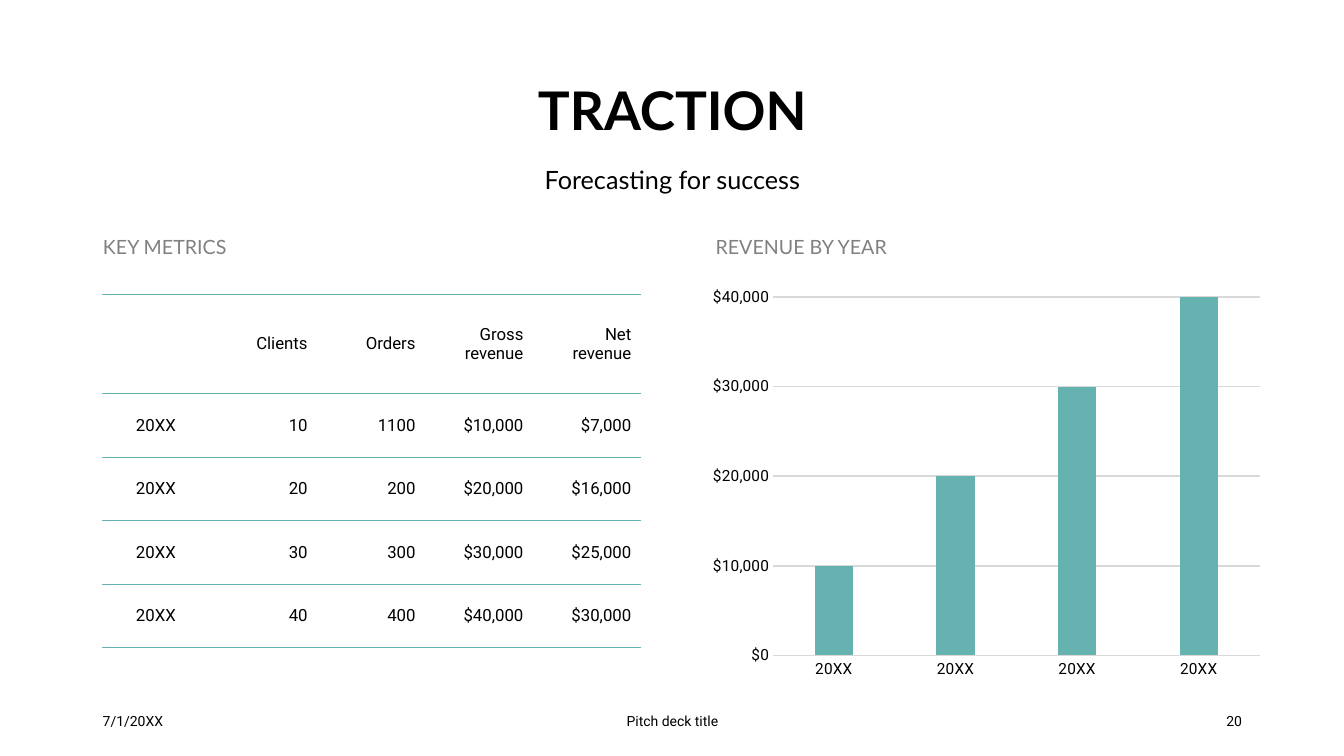
from collections import namedtuple
from dataclasses import dataclass

from lxml import etree
from pptx import Presentation
from pptx import util as u
from pptx.chart import data
from pptx.dml import color
from pptx.enum import chart as kinds, text
from pptx.oxml import ns

Box = namedtuple("Box", "x y w h")
LEFT, MID, RIGHT = text.PP_ALIGN.LEFT, text.PP_ALIGN.CENTER, text.PP_ALIGN.RIGHT
TOP, CENTRE, BASE = text.MSO_ANCHOR.TOP, text.MSO_ANCHOR.MIDDLE, text.MSO_ANCHOR.BOTTOM


@dataclass(frozen=True)
class Theme:
    """Colours, fonts and type sizes of the slide."""
    ink: str = "000000"
    grey: str = "808080"
    teal: str = "66B2B0"
    grid: str = "D9D9D9"
    head: str = "Lato"
    body: str = "Roboto"
    title: int = 38
    lead: int = 18
    label: int = 14
    cell: int = 12
    axis: int = 11
    foot: int = 10


THEME = Theme()
METRICS = [
    ["", "Clients", "Orders", "Gross revenue", "Net revenue"],
    ["20XX", "10", "1100", "$10,000", "$7,000"],
    ["20XX", "20", "200", "$20,000", "$16,000"],
    ["20XX", "30", "300", "$30,000", "$25,000"],
    ["20XX", "40", "400", "$40,000", "$30,000"],
]


def tint(code):
    """Turn a hex code into a colour."""
    return color.RGBColor.from_string(code)


def style(font, size, face=THEME.body, ink=THEME.ink, bold=False):
    """Set the face, size, colour and weight of a font."""
    font.name, font.size, font.bold = face, u.Pt(size), bold
    font.color.rgb = tint(ink)


def write(frame, words, size, align=LEFT, gap=None, **look):
    """Write one formatted paragraph in a text frame."""
    par = frame.paragraphs[0]
    par.alignment, par.line_spacing, par.space_before = align, gap, u.Pt(0)
    run = par.add_run()
    run.text = words
    style(run.font, size, **look)


def place(shape, box, anchor):
    """Move a text shape to a box, without bullet or autofit."""
    shape.left, shape.top, shape.width, shape.height = map(u.Cm, box)
    frame = shape.text_frame
    frame.word_wrap, frame.auto_size = True, text.MSO_AUTO_SIZE.NONE
    frame.vertical_anchor = anchor
    props = frame.paragraphs[0]._p.get_or_add_pPr()
    props.set("marL", "0")
    props.set("indent", "0")
    etree.SubElement(props, ns.qn("a:buNone"))
    return frame


def header(slide, box):
    """Place the title and the line below it."""
    write(place(slide.shapes.title, Box(box.x, box.y, box.w, 1.78), CENTRE),
          "TRACTION", THEME.title, MID, 0.9, face=THEME.head, bold=True)
    write(place(slide.placeholders[2], Box(box.x, box.y + 1.9, box.w, 1.09), TOP),
          "Forecasting for success", THEME.lead, MID, u.Pt(26), face=THEME.head)


def label(holder, words, box):
    """Place a grey section label along the top of a box."""
    write(place(holder, Box(box.x, box.y, box.w, 1.09), BASE), words,
          THEME.label, gap=0.9, face=THEME.head, ink=THEME.grey)


def rule(cell):
    """Draw only the top and bottom borders of a cell."""
    cell.fill.background()
    props = cell._tc.get_or_add_tcPr()
    for spot, side in enumerate(("lnL", "lnR", "lnT", "lnB")):
        line = etree.Element(ns.qn(f"a:{side}"), w=str(u.Pt(1)))
        if side in ("lnT", "lnB"):
            fill = etree.SubElement(line, ns.qn("a:solidFill"))
            etree.SubElement(fill, ns.qn("a:srgbClr"), val=THEME.teal)
        else:
            etree.SubElement(line, ns.qn("a:noFill"))
        props.insert(spot, line)


def metrics(slide, box):
    """Place the labelled table of key metrics."""
    label(slide.placeholders[1], "KEY METRICS", box)
    count = len(METRICS[0])
    grid = slide.shapes.add_table(
        len(METRICS), count, u.Cm(box.x + 0.23), u.Cm(box.y + 1.86),
        u.Cm(13.6), u.Cm(8.9)).table
    grid.first_row = grid.horz_banding = False
    for col in grid.columns:
        col.width = u.Cm(13.6 / count)
    for r, line in enumerate(METRICS):
        grid.rows[r].height = u.Cm(1.6 if r else 2.5)
        for c, words in enumerate(line):
            cell = grid.cell(r, c)
            rule(cell)
            cell.vertical_anchor = CENTRE
            if words:
                write(cell.text_frame, words, THEME.cell, RIGHT if c else MID)


def revenue(slide, box):
    """Place the labelled column chart of revenue."""
    label(slide.placeholders[3], "REVENUE BY YEAR", box)
    facts = data.CategoryChartData(number_format="[$$-409]#,##0")
    facts.categories = ["20XX"] * 4
    facts.add_series("Series 1", [10000, 20000, 30000, 40000])
    chart = slide.shapes.add_chart(
        kinds.XL_CHART_TYPE.COLUMN_CLUSTERED, u.Cm(box.x - 0.1),
        u.Cm(box.y + 1.48), u.Cm(14.35), u.Cm(10.26), facts).chart
    chart.has_legend = chart.has_title = False
    style(chart.font, THEME.foot)
    plot = chart.plots[0]
    plot.gap_width, plot.overlap, plot.vary_by_categories = 219, -27, False
    bars = plot.series[0].format.fill
    bars.solid()
    bars.fore_color.rgb = tint(THEME.teal)
    years, sums = chart.category_axis, chart.value_axis
    for axis in (years, sums):
        axis.major_tick_mark = axis.minor_tick_mark = kinds.XL_TICK_MARK.NONE
        style(axis.tick_labels.font, THEME.axis)
    sums.minimum_scale, sums.maximum_scale, sums.major_unit = 0, 40000, 10000
    sums.tick_labels.number_format = "[$$-409]#,##0"
    sums.tick_labels.number_format_is_linked = False
    sums.format.line.fill.background()
    for line in (years.format.line, sums.major_gridlines.format.line):
        line.width = u.Pt(1.25)
        line.color.rgb = tint(THEME.grid)


def footer(slide, box):
    """Place the date, deck title and page number."""
    parts = [
        ("7/1/20XX", box.x, 7.62, LEFT),
        ("Pitch deck title", box.x + (box.w - 11.43) / 2, 11.43, MID),
        ("20", box.x + box.w - 7.62, 7.62, RIGHT),
    ]
    for words, x, wide, align in parts:
        shape = slide.shapes.add_textbox(0, 0, 0, 0)
        write(place(shape, Box(x, box.y, wide, box.h), CENTRE),
              words, THEME.foot, align)


def main():
    """Build the slide and save the deck."""
    deck = Presentation()
    deck.slide_width, deck.slide_height = u.Cm(33.87), u.Cm(19.05)
    slide = deck.slides.add_slide(deck.slide_layouts.get_by_name("Comparison"))
    spare = slide.placeholders[4]._element
    spare.getparent().remove(spare)
    header(slide, Box(4.37, 1.96, 25.15, 3))
    metrics(slide, Box(2.34, 5.56, 14.33, 10.76))
    revenue(slide, Box(17.78, 5.56, 12.04, 11.74))
    footer(slide, Box(2.34, 17.65, 29.21, 1.02))
    deck.save("out.pptx")


if __name__ == "__main__":
    main()
